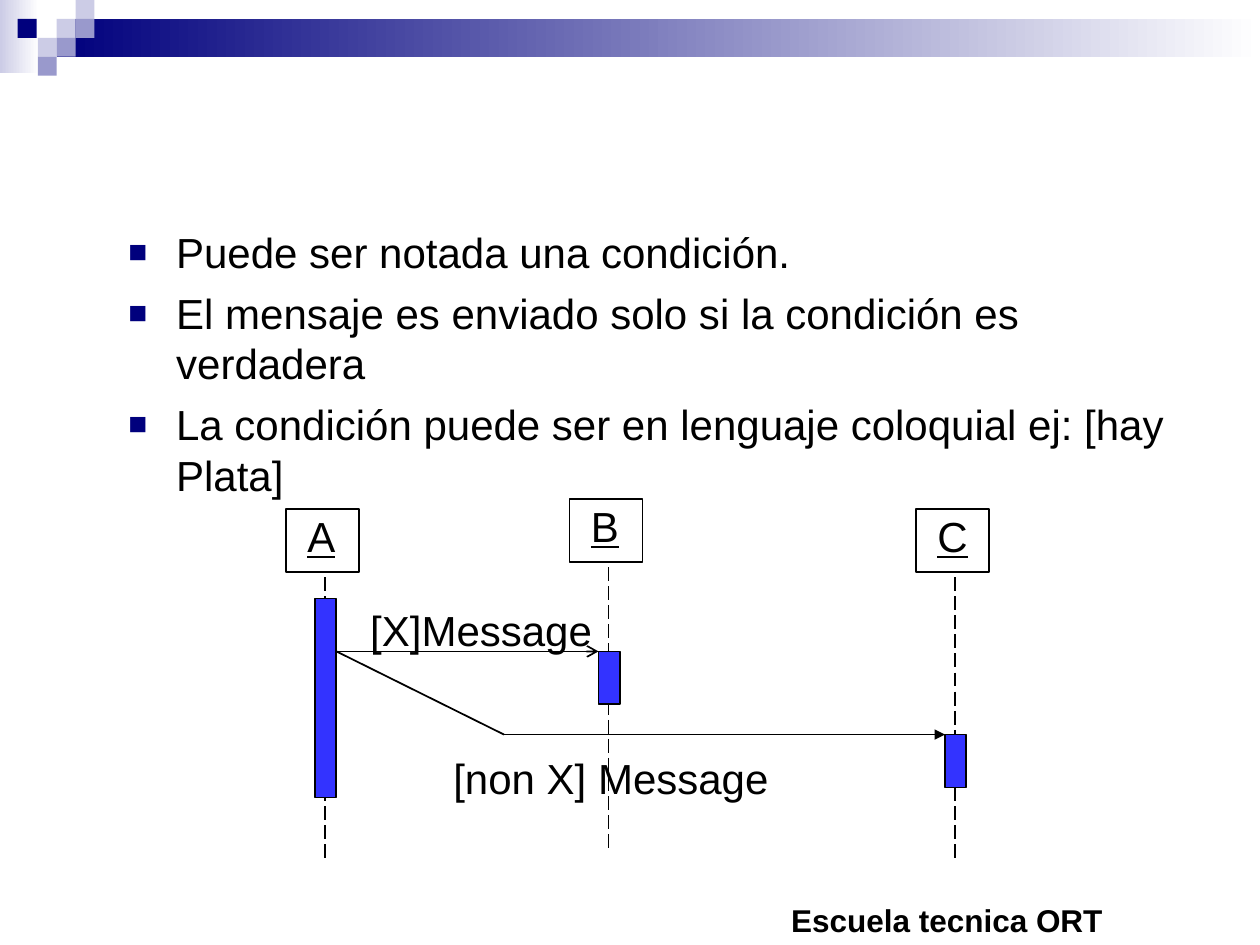
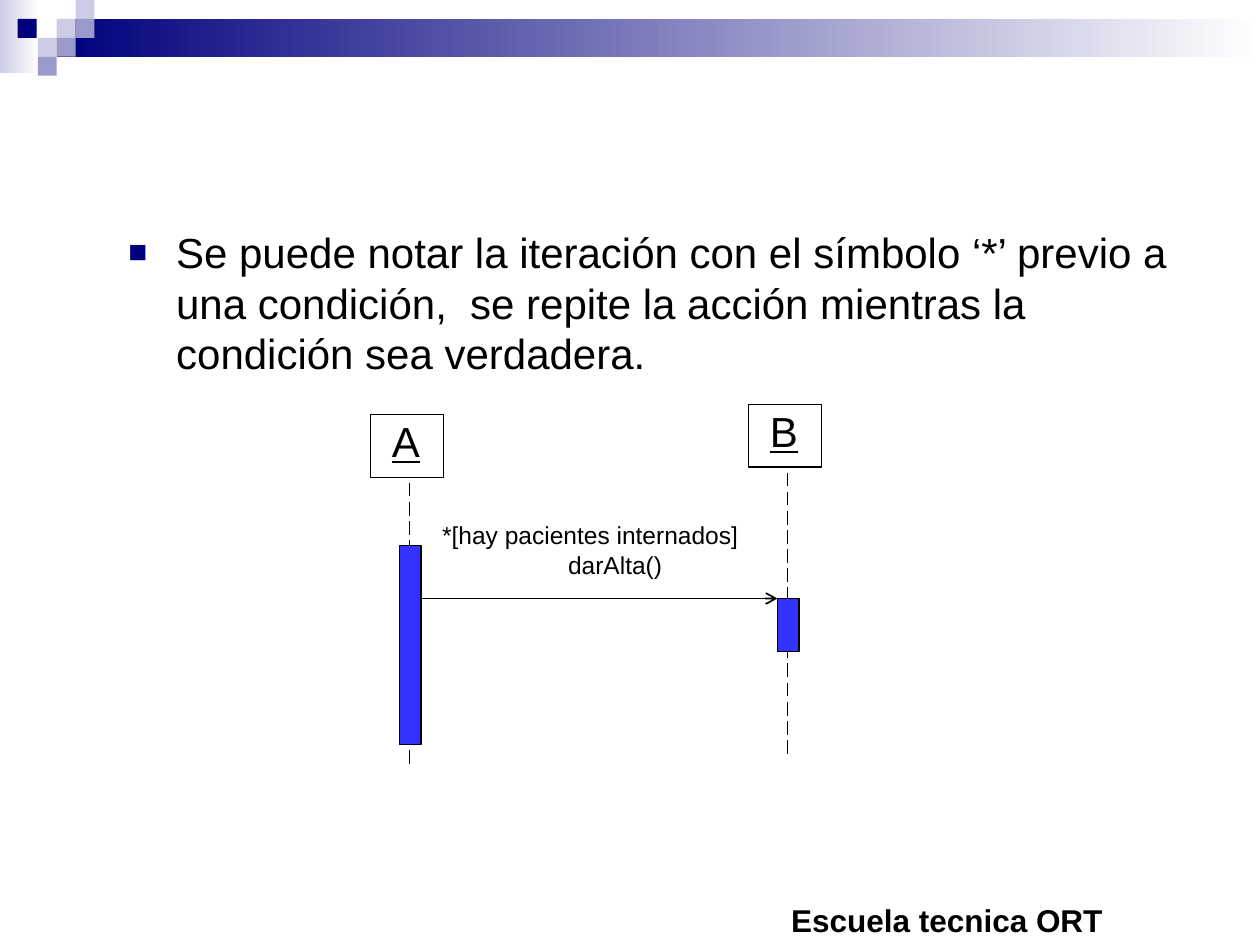
from lxml import etree
from pptx import Presentation, util as u
from pptx.dml import color
from pptx.enum import dml, shapes, text
from pptx.oxml import ns

PX = 9144  # EMU per px, 100 px to the inch
FONT = "Arial"
BLACK, WHITE, NAVY = "000000", "FFFFFF", "00007D"
LILAC, LAVENDER, BLUE = "CCCCE6", "9999CC", "3333FF"
HEAD_W, HEAD_H, BAR_W = 58, 50, 17
BULLET_INDENT = 38

# Header decoration: left, top, width, height, colour
FADES = [(0, 0, 31, 58, LILAC), (45, 15, 955, 30, NAVY)]
SQUARES = [(45, 15, LILAC), (60, 0, LILAC), (60, 15, LAVENDER), (30, 30, LILAC),
           (14, 15, NAVY), (45, 30, LAVENDER), (30, 45, LAVENDER)]

# lifelines: name, centre x, head top, bar top, bar height
# messages: from x, from y, to x, to y, arrowhead
# labels: left, top, width, height, size, (line, indent) pairs
SLIDES = [
    {
        "bullets": ["Puede ser notada una condición.",
                    "El mensaje es enviado solo si la condición es verdadera",
                    "La condición puede ser en lenguaje coloquial ej: [hay Plata]"],
        "lifelines": [("A", 258, 404, 475, 158), ("B", 483, 396, 517, 42),
                      ("C", 758, 404, 583, 42)],
        "messages": [(267, 517, 475, 517, "arrow"), (267, 517, 400, 583, None),
                     (400, 583, 750, 583, "triangle")],
        "labels": [(284, 475, 196, 50, 24, [("[X]Message", 0)]),
                   (350, 592, 270, 50, 24, [("[non X] Message", 0)])],
    },
    {
        "bullets": ["Se puede notar la iteración con el símbolo ‘*’ previo a una condición,  "
                    "se repite la acción mientras la condición sea verdadera."],
        "lifelines": [("A", 325, 329, 433, 158), ("B", 625, 321, 475, 42)],
        "messages": [(334, 475, 617, 475, "arrow")],
        "labels": [(341, 408, 255, 57, 14,
                    [("*[hay pacientes internados]", 0), ("darAlta()", 100)])],
    },
]


def rgb(value):
    return color.RGBColor.from_string(value)


def add_rect(page, left, top, width, height, fill=None, outlined=False):
    rect = page.shapes.add_shape(shapes.MSO_SHAPE.RECTANGLE, left * PX, top * PX,
                                 width * PX, height * PX)
    rect.shadow.inherit = False
    if fill:
        rect.fill.solid()
        rect.fill.fore_color.rgb = rgb(fill)
    else:
        rect.fill.background()
    if outlined:
        rect.line.color.rgb = rgb(BLACK)
        rect.line.width = u.Pt(1)
    else:
        rect.line.fill.background()
    return rect


deck = Presentation()
deck.slide_width, deck.slide_height = 1000 * PX, 750 * PX

for content in SLIDES:
    page = deck.slides.add_slide(deck.slide_layouts[6])

    # Header band and squares
    for left, top, width, height, shade in FADES:
        fade = add_rect(page, left, top, width, height)
        fade.fill.gradient()
        fade.fill.gradient_angle = 0
        for stop, tone in zip(fade.fill.gradient_stops, (shade, WHITE)):
            stop.color.rgb = rgb(tone)
    for left, top, shade in SQUARES:
        add_rect(page, left, top, 15, 15, shade)

    # Footer
    box = page.shapes.add_textbox(618 * PX, 710 * PX, 345 * PX, 40 * PX)
    box.text_frame.word_wrap = True
    box.text_frame.vertical_anchor = text.MSO_ANCHOR.MIDDLE
    para = box.text_frame.paragraphs[0]
    para.text = "Escuela tecnica ORT"
    para.font.name, para.font.size, para.font.bold = FONT, u.Pt(18), True
    para.font.color.rgb = rgb(BLACK)

    # Bulleted body
    box = page.shapes.add_textbox(92 * PX, 175 * PX, 850 * PX, 483 * PX)
    box.text_frame.word_wrap = True
    box.text_frame.text = "\n".join(content["bullets"])
    for index, para in enumerate(box.text_frame.paragraphs):
        props = para._p.get_or_add_pPr()
        props.set("marL", str(BULLET_INDENT * PX))
        props.set("indent", str(-BULLET_INDENT * PX))
        shade = etree.SubElement(props, ns.qn("a:buClr"))
        etree.SubElement(shade, ns.qn("a:srgbClr"), val=NAVY)
        etree.SubElement(props, ns.qn("a:buSzPct"), val="75000")
        etree.SubElement(props, ns.qn("a:buFont"), typeface=FONT)
        etree.SubElement(props, ns.qn("a:buChar"), char="■")
        para.space_before = u.Pt(6 if index else 0)
        para.font.name, para.font.size = FONT, u.Pt(24)
        para.font.color.rgb = rgb(BLACK)

    # Object heads; each lifeline starts just below its head
    lines = []
    for name, center, top, bar_top, bar_height in content["lifelines"]:
        head = add_rect(page, center - 31, top, HEAD_W, HEAD_H, outlined=True)
        frame = head.text_frame
        frame.margin_left, frame.margin_top = 17 * PX, PX
        frame.margin_right = frame.margin_bottom = 0
        frame.vertical_anchor = text.MSO_ANCHOR.TOP
        para = frame.paragraphs[0]
        para.text = name
        para.alignment = text.PP_ALIGN.LEFT
        para.font.name, para.font.size, para.font.underline = FONT, u.Pt(24), True
        para.font.color.rgb = rgb(BLACK)
        lines.append((center, top + 54, center, top + 279, "dash"))

    # Lifelines and messages
    for x1, y1, x2, y2, style in lines + content["messages"]:
        line = page.shapes.add_connector(shapes.MSO_CONNECTOR.STRAIGHT,
                                         x1 * PX, y1 * PX, x2 * PX, y2 * PX)
        line.line.color.rgb = rgb(BLACK)
        line.line.width = u.Pt(1)
        if style == "dash":
            line.line.dash_style = dml.MSO_LINE.LONG_DASH
        elif style:
            etree.SubElement(line.line._get_or_add_ln(), ns.qn("a:tailEnd"), type=style)
        etree.SubElement(line._element.spPr, ns.qn("a:effectLst"))

    # Activation bars
    for name, center, top, bar_top, bar_height in content["lifelines"]:
        add_rect(page, center - 8, bar_top, BAR_W, bar_height, BLUE, outlined=True)

    # Message labels
    for left, top, width, height, size, rows in content["labels"]:
        box = page.shapes.add_textbox(left * PX, top * PX, width * PX, height * PX)
        box.text_frame.word_wrap = False
        box.text_frame.text = "\n".join(row for row, indent in rows)
        for para, (row, indent) in zip(box.text_frame.paragraphs, rows):
            para._p.get_or_add_pPr().set("marL", str(indent * PX))
            para.font.name, para.font.size = FONT, u.Pt(size)
            para.font.color.rgb = rgb(BLACK)

deck.save("out.pptx")
